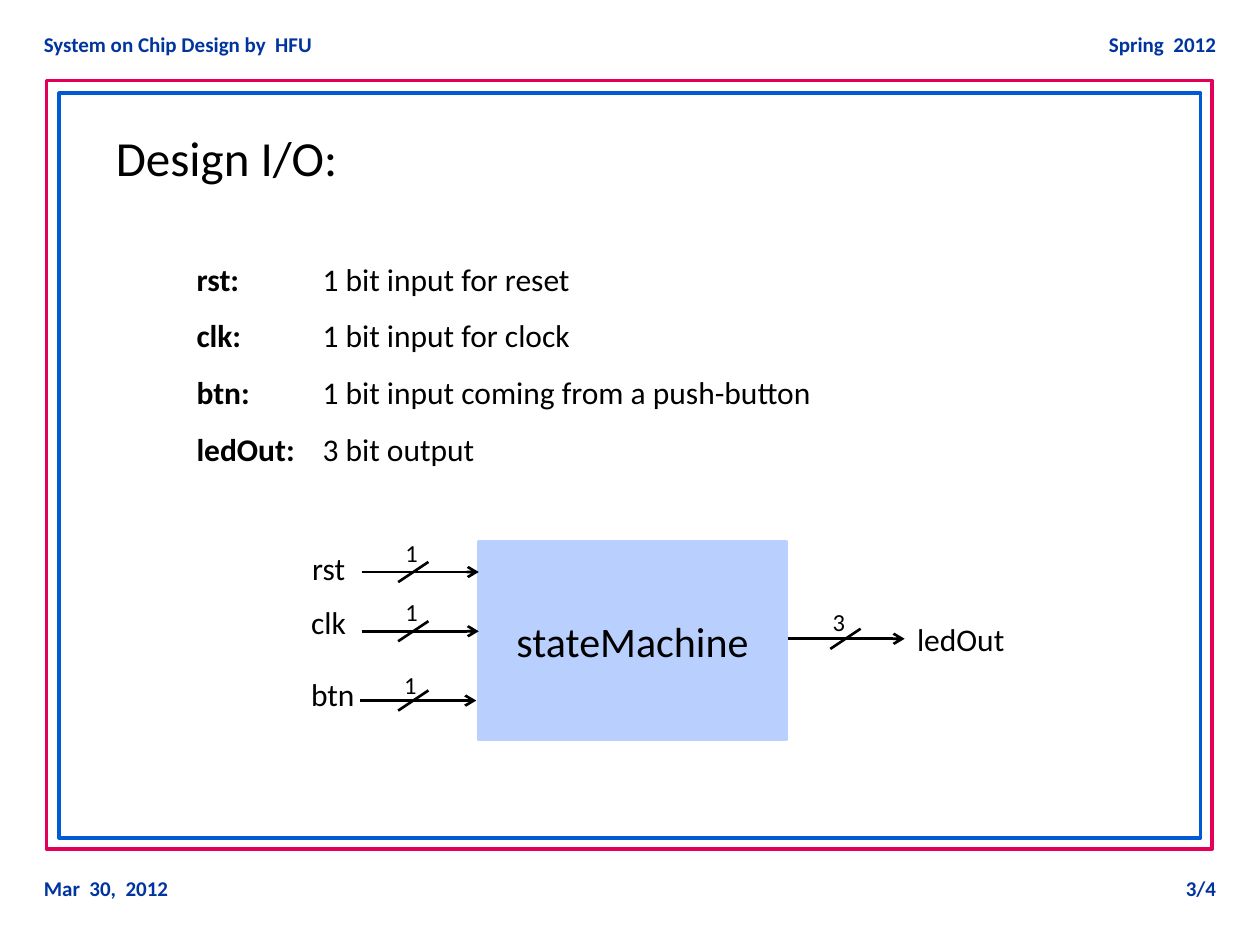
from dataclasses import dataclass

from lxml import etree
from pptx import Presentation
from pptx.dml.color import RGBColor
from pptx.enum.shapes import MSO_CONNECTOR, MSO_SHAPE
from pptx.enum.text import MSO_ANCHOR, MSO_AUTO_SIZE, PP_ALIGN
from pptx.oxml.ns import qn
from pptx.util import Inches, Pt

RECTANGLE = MSO_SHAPE.RECTANGLE
STRAIGHT = MSO_CONNECTOR.STRAIGHT
TOP, MIDDLE = MSO_ANCHOR.TOP, MSO_ANCHOR.MIDDLE
LEFT, CENTER, RIGHT = PP_ALIGN.LEFT, PP_ALIGN.CENTER, PP_ALIGN.RIGHT
NO_FIT = MSO_AUTO_SIZE.NONE

BLACK = RGBColor(0x00, 0x00, 0x00)
NAVY = RGBColor(0x00, 0x34, 0x9E)
BLUE = RGBColor(0x00, 0x5B, 0xD3)
CRIMSON = RGBColor(0xE4, 0x00, 0x59)
PALE_BLUE = RGBColor(0xB9, 0xD0, 0xFF)

WIDTH, HEIGHT = 10, 7.5
MARGIN = 0.25
SLASH_WIDTH, SLASH_HEIGHT = 0.24, 0.16


@dataclass
class Port:
    name: str
    note: str
    bits: str
    wire_left: float
    wire_y: float
    wire_width: float
    slash_left: float
    label_left: float
    label_top: float
    label_width: float
    bits_left: float
    bits_top: float


@dataclass
class MarginText:
    text: str
    top: float
    width: float
    align: PP_ALIGN


PORTS = [
    Port("rst", "1 bit input for reset", "1", 2.87, 4.54, 0.93, 3.16, 2.38, 4.31, 0.46, 3.12, 4.22),
    Port("clk", "1 bit input for clock", "1", 2.87, 5.01, 0.93, 3.16, 2.37, 4.74, 0.48, 3.12, 4.69),
    Port("btn", "1 bit input coming from a push-button", "1",
         2.86, 5.56, 0.92, 3.16, 2.37, 5.31, 0.55, 3.11, 5.27),
    Port("ledOut", "3 bit output", "3", 6.25, 5.07, 0.93, 6.59, 7.18, 4.87, 0.9, 6.51, 4.77),
]

MARGIN_TEXTS = [
    MarginText("System on Chip Design by  HFU", 0.2, 2.86, LEFT),
    MarginText("Spring  2012", 0.2, 1.26, RIGHT),
    MarginText("Mar  30,  2012", 6.9, 1.98, LEFT),
    MarginText("3/4", 6.9, 1.26, RIGHT),
]


def add_span(para, text: str, size: float, color: RGBColor = BLACK, bold: bool = False) -> None:
    span = para.add_run()
    span.text = text
    format_object(span.font, {"name": "Calibri", "size": Pt(size), "bold": bold})
    span.font.color.rgb = color


def format_object(target, formats: dict) -> None:
    for name, value in formats.items():
        setattr(target, name, value)


def place(shape, left: float, top: float, width: float, height: float) -> None:
    format_object(shape, {"left": Inches(left), "top": Inches(top),
                          "width": Inches(width), "height": Inches(height)})


def add_text(page, text: str, left: float, top: float, width: float, height: float, size: float,
             color: RGBColor = BLACK, bold: bool = False, align: PP_ALIGN = LEFT,
             wrap: bool = False) -> None:
    box = page.shapes.add_textbox(Inches(left), Inches(top), Inches(width), Inches(height))
    box.text_frame.word_wrap = wrap
    para = box.text_frame.paragraphs[0]
    para.alignment = align
    add_span(para, text, size, color, bold)


def add_rectangle(page, left: float, top: float, width: float, height: float,
                  line: RGBColor, fill: RGBColor | None = None):
    box = page.shapes.add_shape(RECTANGLE, Inches(left), Inches(top), Inches(width), Inches(height))
    box.shadow.inherit = False
    box.line.color.rgb = line
    box.line.width = Pt(2)
    if fill is None:
        box.fill.background()
    else:
        box.fill.solid()
        box.fill.fore_color.rgb = fill
    return box


def add_line(page, left: float, top: float, right: float, bottom: float, arrow: bool = False) -> None:
    line = page.shapes.add_connector(STRAIGHT, Inches(left), Inches(top), Inches(right), Inches(bottom))
    line.line.color.rgb = BLACK
    line.line.width = Pt(1.5)
    if arrow:
        etree.SubElement(line.line._get_or_add_ln(), qn("a:tailEnd"), type="arrow")
    etree.SubElement(line._element.spPr, qn("a:effectLst"))


def add_frames(page) -> None:
    add_rectangle(page, 0.37, 0.64, 9.25, 6.1, CRIMSON)
    add_rectangle(page, 0.47, 0.74, 9.06, 5.91, BLUE)


def add_margin_texts(page) -> None:
    for item in MARGIN_TEXTS:
        left = MARGIN if item.align == LEFT else WIDTH - MARGIN - item.width
        add_text(page, item.text, left, item.top, item.width, 0.3, 12, NAVY, True, item.align, True)


def fill_title(page) -> None:
    title = page.shapes.title
    place(title, 0.82, 0.96, 2.2, 0.57)
    format_object(title.text_frame, {"vertical_anchor": TOP, "word_wrap": False, "auto_size": NO_FIT})
    para = title.text_frame.paragraphs[0]
    para.alignment = LEFT
    add_span(para, "Design I/O:", 28)


def fill_port_list(page) -> None:
    body = page.placeholders[1]
    place(body, 1.46, 1.86, 5.4, 1.92)
    frame = body.text_frame
    format_object(frame, {"vertical_anchor": TOP, "word_wrap": True, "auto_size": NO_FIT})
    for index, port in enumerate(PORTS):
        para = frame.add_paragraph() if index else frame.paragraphs[0]
        format_object(para, {"line_spacing": 1.5, "space_before": Pt(0), "alignment": LEFT})
        properties = para._p.get_or_add_pPr()
        for name, value in {"marL": 0, "indent": 0, "defTabSz": Inches(1)}.items():
            properties.set(name, str(int(value)))
        etree.SubElement(properties, qn("a:buNone"))
        add_span(para, f"{port.name}:\t", 18, bold=True)
        add_span(para, port.note, 18)


def add_machine(page) -> None:
    machine = add_rectangle(page, 3.8, 4.3, 2.44, 1.57, PALE_BLUE, PALE_BLUE)
    machine.text_frame.vertical_anchor = MIDDLE
    para = machine.text_frame.paragraphs[0]
    para.alignment = CENTER
    add_span(para, "stateMachine", 24)


def add_port(page, port: Port) -> None:
    half = SLASH_HEIGHT / 2
    add_line(page, port.wire_left, port.wire_y, port.wire_left + port.wire_width, port.wire_y, True)
    add_line(page, port.slash_left + SLASH_WIDTH, port.wire_y - half,
             port.slash_left, port.wire_y + half)
    add_text(page, port.name, port.label_left, port.label_top, port.label_width, 0.4, 18)
    add_text(page, port.bits, port.bits_left, port.bits_top, 0.3, 0.34, 14)


deck = Presentation()
deck.slide_width, deck.slide_height = Inches(WIDTH), Inches(HEIGHT)
page = deck.slides.add_slide(deck.slide_layouts[1])
add_frames(page)
add_margin_texts(page)
fill_title(page)
fill_port_list(page)
add_machine(page)
for port in PORTS:
    add_port(page, port)
deck.save("out.pptx")
